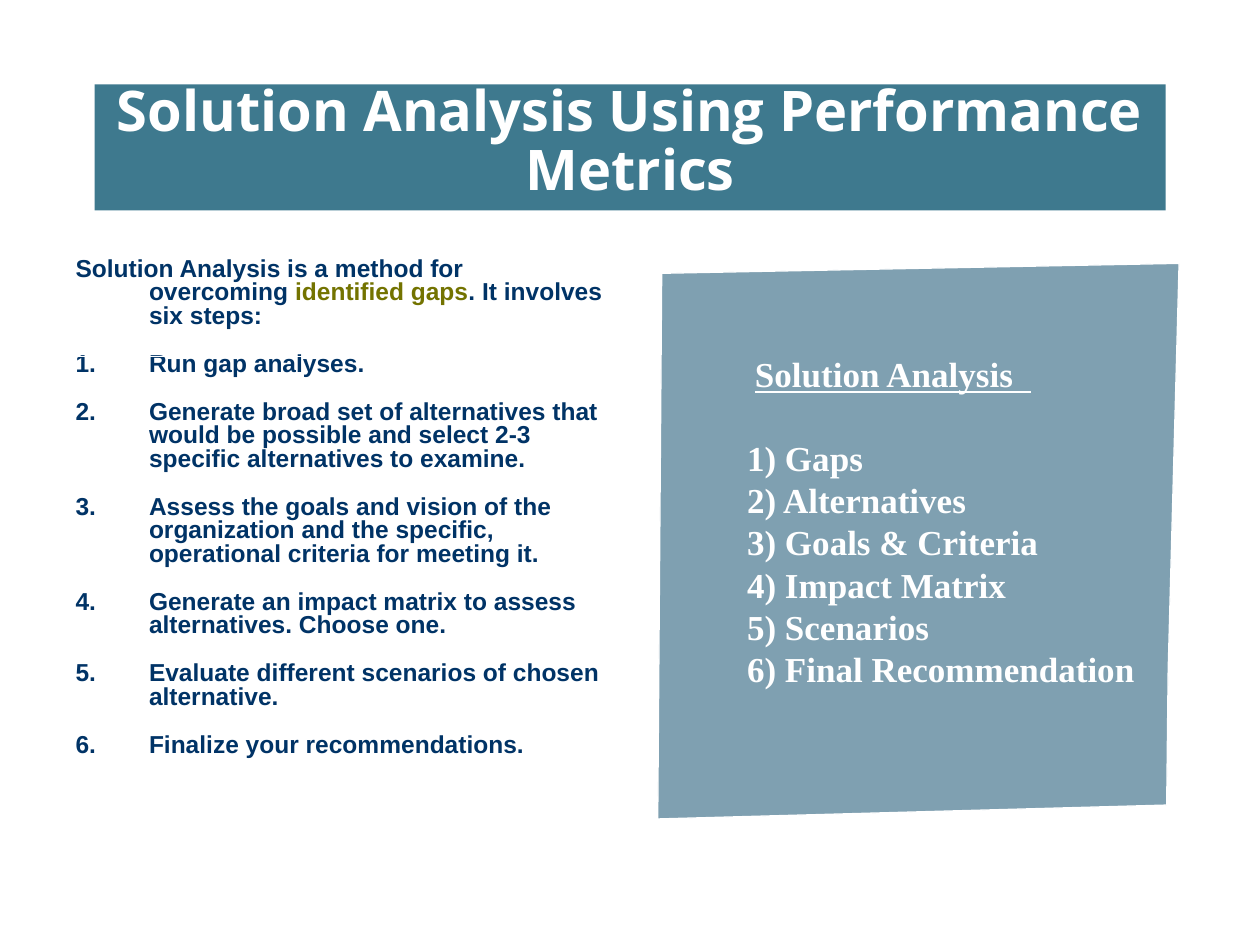
"""Build the Solution Analysis slide."""
import pptx
import pptx.util
import pptx.dml.color
import pptx.enum.text
import pptx.enum.shapes
import lxml.etree

Cm, Pt = pptx.util.Cm, pptx.util.Pt
Align = pptx.enum.text.PP_ALIGN
Anchor = pptx.enum.text.MSO_ANCHOR
Fit = pptx.enum.text.MSO_AUTO_SIZE
DRAW = "{http://schemas.openxmlformats.org/drawingml/2006/main}"

theme = {
    "teal": "3E798E", "slate": "7FA0B1", "navy": "003366",
    "olive": "737300", "white": "FFFFFF",
    "title": 32, "body": 14, "panel": 20,
}


def color(name):
    return pptx.dml.color.RGBColor.from_string(theme[name])


def write(para, text, size, font, tone):
    run = para.add_run()
    run.text = text
    run.font.size = Pt(theme[size])
    run.font.name = font
    run.font.bold = True
    run.font.color.rgb = color(tone)
    return run


deck = pptx.Presentation()
deck.slide_width, deck.slide_height = Cm(25.4), Cm(19.05)
slide = deck.slides.add_slide(deck.slide_layouts[1])
shapes = slide.shapes

title = shapes.title
title.left, title.top, title.width, title.height = Cm(1.91), Cm(1.7), Cm(21.59), Cm(2.54)
title.fill.solid()
title.fill.fore_color.rgb = color("teal")
frame = title.text_frame
frame.auto_size = Fit.NONE
frame.vertical_anchor = Anchor.TOP
frame.margin_top = frame.margin_bottom = 0
para = frame.paragraphs[0]
para.alignment = Align.CENTER
para.line_spacing = 0.88
write(para, "Solution Analysis Using Performance Metrics", "title", "Open Sans", "white")

body = slide.placeholders[1]
body.left, body.top, body.width, body.height = Cm(1.27), Cm(5.08), Cm(11.23), Cm(12.27)
frame = body.text_frame
frame.auto_size = Fit.NONE
intro = [
    ("Solution Analysis is a method for overcoming ", "navy"),
    ("identified gaps", "olive"),
    (". It involves six steps:", "navy"),
]
steps = [
    "Run gap analyses.",
    "Generate broad set of alternatives that would be possible and select 2-3 "
    "specific alternatives to examine.",
    "Assess the goals and vision of the organization and the specific, "
    "operational criteria for meeting it.",
    "Generate an impact matrix to assess alternatives. Choose one.",
    "Evaluate different scenarios of chosen alternative.",
    "Finalize your recommendations.",
]
for row, runs in enumerate([intro] + [[(step, "navy")] for step in steps]):
    para = frame.add_paragraph() if row else frame.paragraphs[0]
    para.line_spacing = 0.8
    para.space_before = Pt(theme["body"] if row else 0)
    props = para._p.get_or_add_pPr()
    props.set("marL", str(Cm(1.48)))
    props.set("indent", str(-Cm(1.48)))
    if row:
        tint = lxml.etree.SubElement(props, DRAW + "buClr")
        lxml.etree.SubElement(tint, DRAW + "srgbClr", val=theme["navy"])
        lxml.etree.SubElement(props, DRAW + "buFont", typeface="Arial")
        lxml.etree.SubElement(props, DRAW + "buAutoNum", type="arabicPeriod")
    else:
        lxml.etree.SubElement(props, DRAW + "buNone")
    for text, tone in runs:
        write(para, text, "body", "Arial", tone)

edge = [(13.26, 16.51), (23.52, 16.23), (23.55, 13.5), (23.66, 9.4), (23.77, 5.31)]
pen = shapes.build_freeform(Cm(13.34), Cm(5.51))
pen.add_line_segments([(Cm(x), Cm(y)) for x, y in edge], close=True)
panel = pen.convert_to_shape()
panel.shadow.inherit = False
panel.fill.solid()
panel.fill.fore_color.rgb = color("slate")
panel.line.color.rgb = color("white")
panel.line.width = Pt(0.75)

frame = shapes.add_textbox(Cm(14.81), Cm(6.99), Cm(8.89), Cm(9.25)).text_frame
frame.word_wrap = True
para = frame.paragraphs[0]
para.line_spacing = Pt(24)
para.space_after = Pt(24)
para._p.get_or_add_pPr().set("marL", str(Cm(0.16)))
head = write(para, "Solution Analysis  ", "panel", "Times New Roman", "white")
head.font.underline = True
topics = ["Gaps", "Alternatives", "Goals & Criteria", "Impact Matrix",
          "Scenarios", "Final Recommendation"]
for rank, topic in enumerate(topics, 1):
    para = frame.add_paragraph()
    para.line_spacing = Pt(24)
    write(para, f"{rank}) {topic}", "panel", "Times New Roman", "white")

rule = shapes.add_connector(pptx.enum.shapes.MSO_CONNECTOR.STRAIGHT,
                            Cm(1.27), Cm(7.19), Cm(12.7), Cm(7.19))
rule.line.color.rgb = color("white")
rule.line.width = Pt(0.75)
lxml.etree.SubElement(rule._element.spPr, DRAW + "effectLst")

deck.save("out.pptx")
